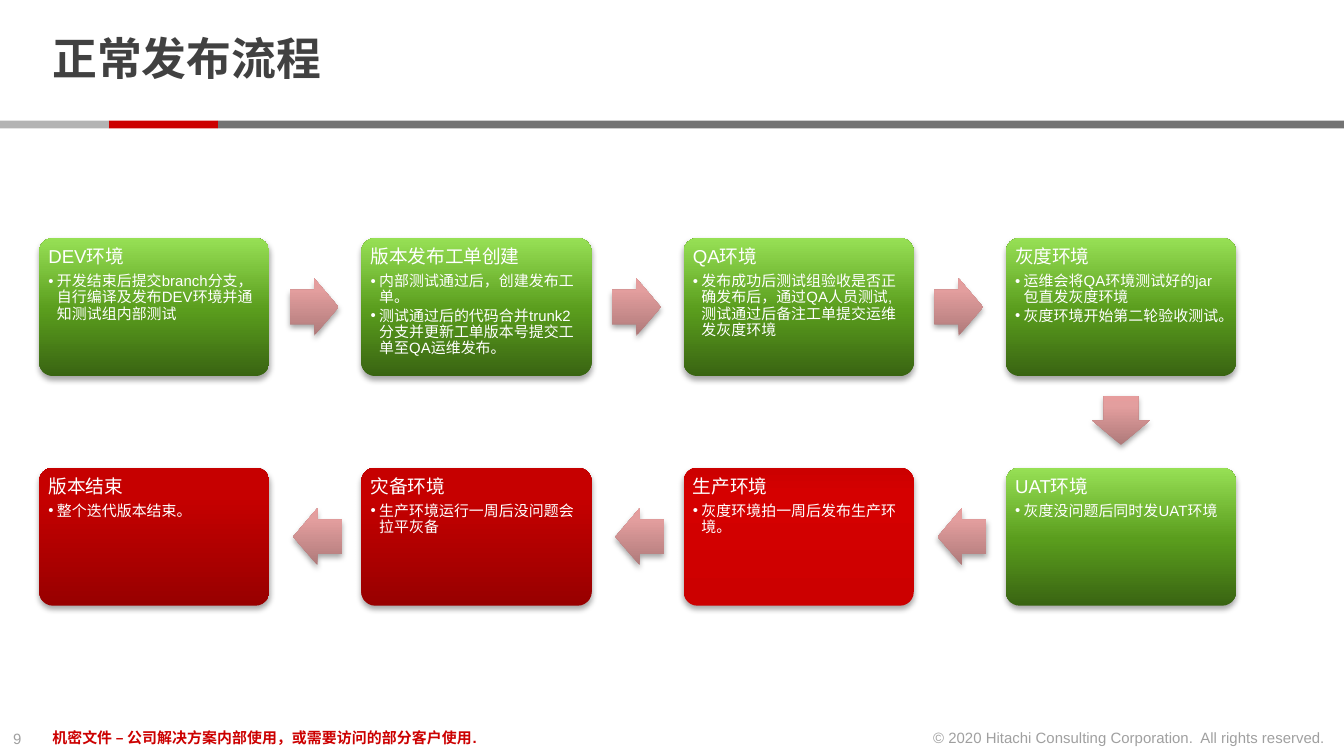
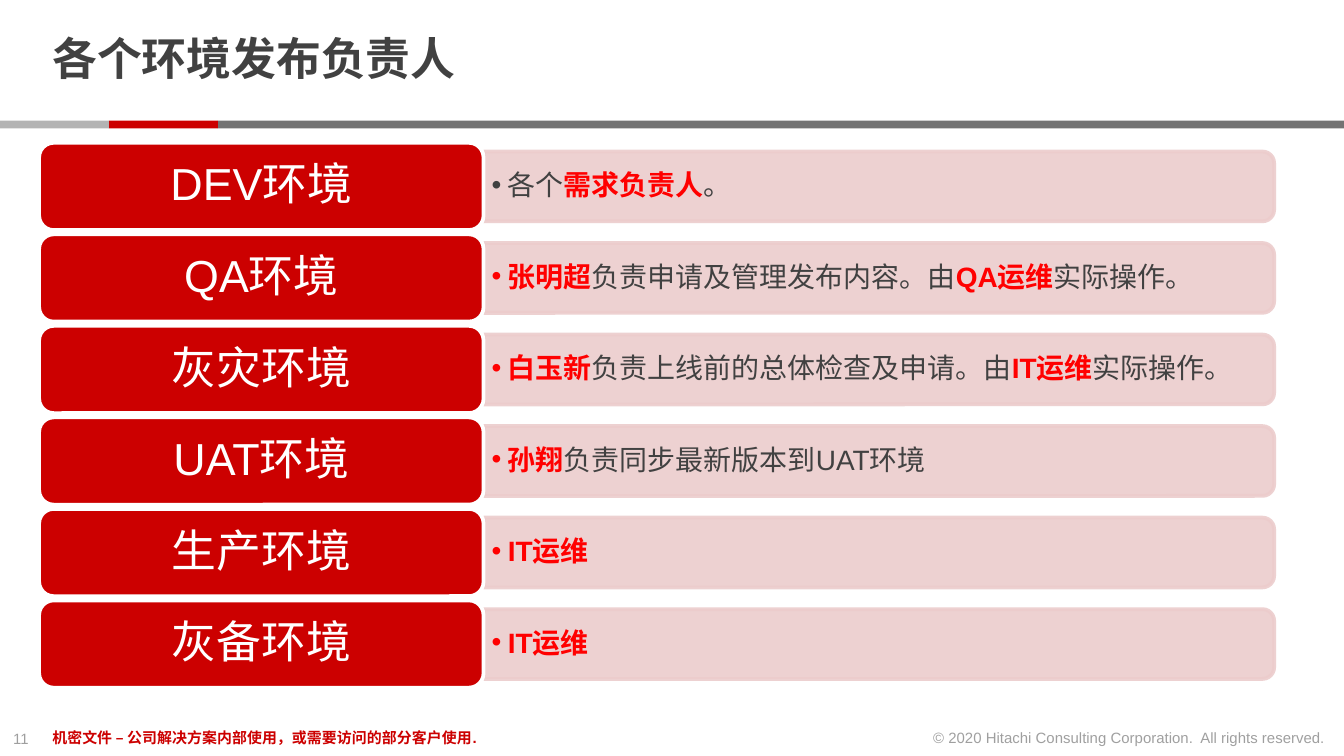
from lxml import etree
from pptx import Presentation, util as u
from pptx.dml.color import RGBColor
from pptx.enum import shapes, text
from pptx.oxml import parse_xml
from pptx.oxml.ns import nsdecls, qn

Cm, Pt = u.Cm, u.Pt
SHAPE = shapes.MSO_SHAPE
MIDDLE = text.MSO_ANCHOR.MIDDLE
LEFT, CENTER, RIGHT = text.PP_ALIGN.LEFT, text.PP_ALIGN.CENTER, text.PP_ALIGN.RIGHT

FONT = "Arial"
COLORS = {
    "ink": "414141", "red": "CC0000", "accent": "FF0000", "white": "FFFFFF",
    "dark_gray": "737373", "light_gray": "B3B3B3", "pink": "ECCCCC",
}
# Gradients run from bottom to top: (position in percent, colour)
GRADIENTS = {
    "green": [(0, "396412"), (48, "5A9D1D"), (100, "97E055")],
    "bright_red": [(0, "CC0000"), (80, "D50000"), (100, "CC0000")],
    "deep_red": [(0, "980000"), (80, "C60000"), (100, "C70000")],
    "arrow": [(0, "AF7A7A"), (80, "E39E9E"), (100, "E69D9D")],
}

# Release flow: three gaps to the right, one down, three to the left
CARD_LEFT, CARD_PITCH, CARD_WIDTH, CARD_HEIGHT = 0.74, 6.09, 4.35, 2.61
CARD_TOPS = (4.5, 8.84)
ARROW_WIDTH, ARROW_HEIGHT = 0.92, 1.08
COLUMNS = 4
STEPS = [
    ("DEV环境", "green", ["开发结束后提交branch分支，自行编译及发布DEV环境并通知测试组内部测试"]),
    ("版本发布工单创建", "green", [
        "内部测试通过后，创建发布工单。",
        "测试通过后的代码合并trunk2分支并更新工单版本号提交工单至QA运维发布。"]),
    ("QA环境", "green", [
        "发布成功后测试组验收是否正确发布后，通过QA人员测试,测试通过后备注工单提交运维发灰度环境"]),
    ("灰度环境", "green", [
        "运维会将QA环境测试好的jar包直发灰度环境", "灰度环境开始第二轮验收测试。"]),
    ("UAT环境", "green", ["灰度没问题后同时发UAT环境"]),
    ("生产环境", "bright_red", ["灰度环境拍一周后发布生产环境。"]),
    ("灾备环境", "deep_red", ["生产环境运行一周后没问题会拉平灰备"]),
    ("版本结束", "deep_red", ["整个迭代版本结束。"]),
]

# Owners: each span is (wording, is it highlighted)
ROW_TOP, ROW_PITCH, LABEL_HEIGHT, BAND_HEIGHT = 2.7, 1.73, 1.65, 1.32
BAND_LEFT, BAND_WIDTH = 9.14, 14.94
OWNERS = [
    ("DEV环境", [("各个", False), ("需求负责人", True), ("。", False)]),
    ("QA环境", [("张明超", True), ("负责申请及管理发布内容。由", False),
              ("QA运维", True), ("实际操作。", False)]),
    ("灰灾环境", [("白玉新", True), ("负责上线前的总体检查及申请。由", False),
              ("IT运维", True), ("实际操作。", False)]),
    ("UAT环境", [("孙翔", True), ("负责同步最新版本到UAT环境", False)]),
    ("生产环境", [("IT运维", True)]),
    ("灰备环境", [("IT运维", True)]),
]


def rgb(name):
    return RGBColor.from_string(COLORS[name])


def place(left, top, width, height):
    return [Cm(value) for value in (left, top, width, height)]


def fade(element, percent):
    for color in element.iter(qn("a:srgbClr")):
        etree.SubElement(color, qn("a:alpha"), val=str(percent * 1000))


def set_insets(frame, across, down):
    frame.margin_left = frame.margin_right = Cm(across)
    frame.margin_top = frame.margin_bottom = Cm(down)


def style(para, size, color, bold=False, align=LEFT):
    para.alignment = align
    para.font.name = FONT
    para.font.size = Pt(size)
    para.font.bold = bold
    para.font.color.rgb = rgb(color)


def add_bullet(para, indent, color):
    para.level = 1
    properties = para._p.get_or_add_pPr()
    properties.set("marL", str(Cm(indent)))
    properties.set("indent", str(-Cm(indent)))
    bullet_color = etree.SubElement(properties, qn("a:buClr"))
    etree.SubElement(bullet_color, qn("a:srgbClr"), val=COLORS[color])
    etree.SubElement(properties, qn("a:buFont"), typeface=FONT)
    etree.SubElement(properties, qn("a:buChar"), char="•")


def add_block(page, kind, area, fill=None, line=None):
    block = page.shapes.add_shape(kind, *place(*area))
    block.shadow.inherit = False
    if fill:
        block.fill.solid()
        block.fill.fore_color.rgb = rgb(fill)
    if line:
        block.line.color.rgb = rgb(line)
        block.line.width = Pt(2)
    else:
        block.line.fill.background()
    return block


def add_glossy_block(page, kind, area, gradient):
    block = add_block(page, kind, area)
    stops = "".join(
        f'<a:gs pos="{position * 1000}"><a:srgbClr val="{color}"/></a:gs>'
        for position, color in GRADIENTS[gradient])
    properties = block._element.spPr
    properties.find(qn("a:prstGeom")).addnext(parse_xml(
        f'<a:gradFill {nsdecls("a")} rotWithShape="0"><a:gsLst>{stops}</a:gsLst>'
        '<a:lin ang="16200000" scaled="0"/></a:gradFill>'))
    shadow = etree.SubElement(
        properties.find(qn("a:effectLst")), qn("a:outerShdw"), blurRad=str(Pt(3.1)),
        dist=str(Pt(1.8)), dir="5400000", rotWithShape="0")
    etree.SubElement(shadow, qn("a:srgbClr"), val="000000")
    fade(shadow, 35)
    return block


def add_note(page, area, wording, color, bold=False, align=LEFT, wrap=False, opacity=100):
    box = page.shapes.add_textbox(*place(*area))
    box.text_frame.word_wrap = wrap
    para = box.text_frame.paragraphs[0]
    para.text = wording
    style(para, 8, color, bold, align)
    if opacity < 100:
        fade(para._p, opacity)


def add_page(deck, title, number):
    page = deck.slides.add_slide(deck.slide_layouts[5])
    # Title
    holder = page.shapes.title
    holder.left, holder.top, holder.width, holder.height = place(0.74, 0.15, 19.58, 2.03)
    frame = holder.text_frame
    frame.text = title
    frame.vertical_anchor = MIDDLE
    set_insets(frame, 0.25, 0)
    para = frame.paragraphs[0]
    para.line_spacing = 0.85
    style(para, 24, "ink", bold=True)
    # Band under the title
    for left, width, color in ((4.12, 21.28, "dark_gray"), (2.06, 2.06, "red"),
                               (0, 2.06, "light_gray")):
        add_block(page, SHAPE.RECTANGLE, (left, 2.28, width, 0.15), color)
    # Footer
    add_note(page, (0, 13.66, 0.86, 0.61), str(number), "ink", opacity=50)
    add_note(page, (17.27, 13.65, 8.03, 0.61),
             "© 2020 Hitachi Consulting Corporation.  All rights reserved.",
             "ink", align=RIGHT, opacity=50)
    add_note(page, (0.74, 13.65, 8.97, 0.61),
             "机密文件 – 公司解决方案内部使用，或需要访问的部分客户使用.",
             "red", bold=True, wrap=True)
    return page


def add_card(page, left, top, heading, gradient, points):
    card = add_glossy_block(page, SHAPE.ROUNDED_RECTANGLE,
                            (left, top, CARD_WIDTH, CARD_HEIGHT), gradient)
    card.adjustments[0] = 0.1
    frame = card.text_frame
    frame.word_wrap = True
    frame.vertical_anchor = text.MSO_ANCHOR.TOP
    set_insets(frame, 0.1, 0.1)
    para = frame.paragraphs[0]
    para.text = heading
    para.line_spacing, para.space_after = 0.9, Pt(3.5)
    style(para, 10, "white")
    for point in points:
        para = frame.add_paragraph()
        para.text = point
        add_bullet(para, 0.16, "white")
        para.line_spacing, para.space_after = 0.9, Pt(1.2)
        style(para, 8, "white")


def add_arrow(page, center_x, center_y, rotation):
    arrow = add_glossy_block(
        page, SHAPE.RIGHT_ARROW,
        (center_x - ARROW_WIDTH / 2, center_y - ARROW_HEIGHT / 2, ARROW_WIDTH, ARROW_HEIGHT),
        "arrow")
    arrow.adjustments[0], arrow.adjustments[1] = 0.6, 0.5
    arrow.rotation = rotation


def add_flow(page):
    for index, (heading, gradient, points) in enumerate(STEPS):
        row = index // COLUMNS
        column = 2 * COLUMNS - 1 - index if row else index
        left, top = CARD_LEFT + column * CARD_PITCH, CARD_TOPS[row]
        add_card(page, left, top, heading, gradient, points)
        # Arrow to the next step
        middle = top + CARD_HEIGHT / 2
        if index == COLUMNS - 1:
            add_arrow(page, left + CARD_WIDTH / 2, 7.95, 90)
        elif row == 0:
            add_arrow(page, left + 5.2, middle, 0)
        elif column > 0:
            add_arrow(page, left - CARD_PITCH + 5.26, middle, 180)


def add_owner(page, top, environment, spans):
    middle = top + LABEL_HEIGHT / 2
    # Pale band, turned so that its round corners face right
    band = add_block(
        page, SHAPE.ROUND_2_SAME_RECTANGLE,
        (BAND_LEFT + (BAND_WIDTH - BAND_HEIGHT) / 2, middle - BAND_WIDTH / 2,
         BAND_HEIGHT, BAND_WIDTH), "pink", "pink")
    band.rotation = 90
    fade(band._element.spPr, 90)
    # Responsible people
    box = page.shapes.add_textbox(*place(BAND_LEFT, middle - 0.6, 14.88, 1.2))
    frame = box.text_frame
    frame.word_wrap = True
    frame.vertical_anchor = MIDDLE
    set_insets(frame, 0.15, 0.08)
    para = frame.paragraphs[0]
    add_bullet(para, 0.31, "accent" if spans[0][1] else "ink")
    para.line_spacing = 0.9
    para.font.name, para.font.size = FONT, Pt(15)
    for wording, highlighted in spans:
        span = para.add_run()
        span.text = wording
        span.font.bold = highlighted
        span.font.color.rgb = rgb("accent" if highlighted else "ink")
    # Environment label
    label = add_block(page, SHAPE.ROUNDED_RECTANGLE, (0.74, top, 8.4, LABEL_HEIGHT),
                      "red", "white")
    label.text_frame.word_wrap = True
    label.text_frame.vertical_anchor = MIDDLE
    para = label.text_frame.paragraphs[0]
    para.text = environment
    para.line_spacing = 0.9
    style(para, 24, "white", align=CENTER)


def main():
    deck = Presentation()
    deck.slide_width, deck.slide_height = Cm(25.4), Cm(14.29)

    add_flow(add_page(deck, "正常发布流程", 9))

    owners_page = add_page(deck, "各个环境发布负责人", 11)
    for index, (environment, spans) in enumerate(OWNERS):
        add_owner(owners_page, ROW_TOP + index * ROW_PITCH, environment, spans)

    deck.save("out.pptx")


if __name__ == "__main__":
    main()
